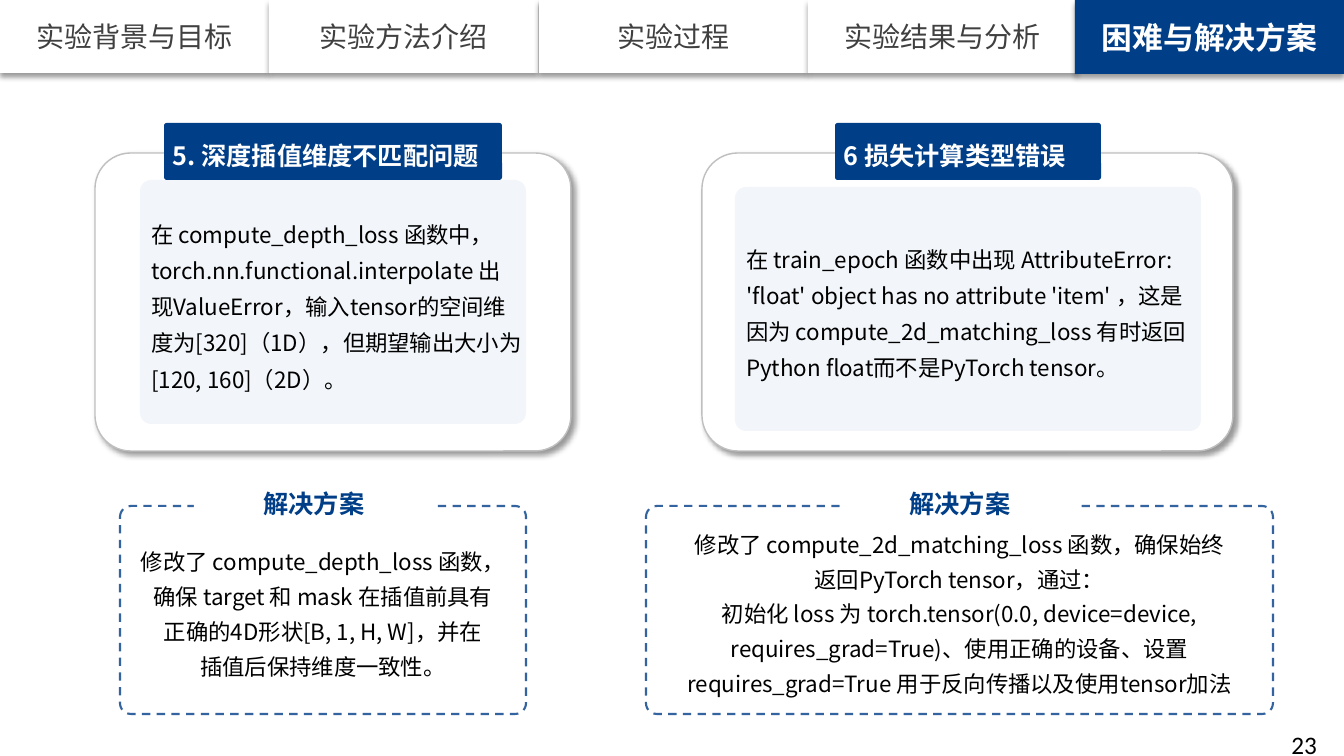
from lxml import etree
from pptx import Presentation
from pptx.dml.color import RGBColor
from pptx.enum.dml import MSO_LINE
from pptx.enum.shapes import MSO_SHAPE
from pptx.enum.text import MSO_ANCHOR, PP_ALIGN
from pptx.oxml.ns import qn
from pptx.util import Pt

RECT, ROUND = MSO_SHAPE.RECTANGLE, MSO_SHAPE.ROUNDED_RECTANGLE
LEFT, CENTER, RIGHT = PP_ALIGN.LEFT, PP_ALIGN.CENTER, PP_ALIGN.RIGHT
TOP, MIDDLE = MSO_ANCHOR.TOP, MSO_ANCHOR.MIDDLE
DASH = MSO_LINE.DASH

EMU_PER_PX = 914400 / 100.8
COLORS = {"navy": "003E87", "white": "FFFFFF", "panel": "F2F5F9",
          "border": "BFBFBF", "grey": "404040", "black": "000000"}
CJK = "Noto Sans CJK SC"
DEFAULT_INSETS = (10, 5, 10, 5)
TAB_INSETS = (4, 5, 4, 5)
LEFT_INSETS = (8, 0, 0, 0)

TABS = ["实验背景与目标", "实验方法介绍", "实验过程", "实验结果与分析"]
ACTIVE_TAB = "困难与解决方案"
PROBLEMS = [
    {"card": (95, 153, 476, 298), "panel": (140, 180, 386, 244),
     "heading": (164, 123, 338, 57), "fix": (120, 506, 406, 208),
     "label": (194, 483, 240, 40),
     "title": "5. 深度插值维度不匹配问题",
     "problem": "在 compute_depth_loss 函数中， torch.nn.functional.interpolate "
                "出现ValueError，输入tensor的空间维度为[320]（1D），"
                "但期望输出大小为[120, 160]（2D）。",
     "solution": ["修改了 compute_depth_loss 函数，确保 target 和 mask 在插值前具有",
                  "正确的4D形状[B, 1, H, W]，并在",
                  "插值后保持维度一致性。"]},
    {"card": (702, 153, 531, 298), "panel": (735, 187, 466, 244),
     "heading": (835, 123, 266, 57), "fix": (646, 506, 627, 208),
     "label": (840, 483, 240, 40),
     "title": "6 损失计算类型错误",
     "problem": "在 train_epoch 函数中出现 AttributeError: 'float' object has no "
                "attribute 'item' ，这是因为 compute_2d_matching_loss "
                "有时返回Python float而不是PyTorch tensor。",
     "solution": ["修改了 compute_2d_matching_loss 函数，确保始终",
                  "返回PyTorch tensor，通过：",
                  "初始化 loss 为 torch.tensor(0.0, device=device, "
                  "requires_grad=True)、使用正确的设备、设置 "
                  "requires_grad=True 用于反向传播以及使用tensor加法"]},
]


def px(n):
    return round(n * EMU_PER_PX)


def rgb(name):
    return RGBColor.from_string(COLORS[name])


def set_alpha(fill, percent):
    color = fill._xPr.find(qn("a:solidFill"))[0]
    etree.SubElement(color, qn("a:alpha"), val=str(percent * 1000))


class Deck:
    def __init__(self):
        self.prs = Presentation()
        self.prs.slide_width, self.prs.slide_height = px(1344), px(756)
        self.s = self.prs.slides.add_slide(self.prs.slide_layouts[6])

    def shape(self, kind, box, fill, alpha=None, radius=None):
        sp = self.s.shapes.add_shape(kind, *map(px, box))
        sp.shadow.inherit = False
        sp.fill.solid()
        sp.fill.fore_color.rgb = rgb(fill)
        sp.line.fill.background()
        if alpha is not None:
            set_alpha(sp.fill, alpha)
        if radius is not None:
            sp.adjustments[0] = radius
        return sp

    def outline(self, sp, color, width, dash=None, alpha=None):
        sp.line.color.rgb = rgb(color)
        sp.line.width = Pt(width)
        if dash is not None:
            sp.line.dash_style = dash
        if alpha is not None:
            set_alpha(sp.line.fill, alpha)

    def cast_shadow(self, sp, degrees):
        effects = sp._element.spPr.find(qn("a:effectLst"))
        shadow = etree.SubElement(
            effects, qn("a:outerShdw"), blurRad=str(Pt(4)), dist=str(Pt(3)),
            dir=str(degrees * 60000), algn="ctr", rotWithShape="0")
        color = etree.SubElement(shadow, qn("a:srgbClr"), val=COLORS["black"])
        etree.SubElement(color, qn("a:alpha"), val="40000")

    def text(self, sp, lines, size, color="black", bold=False, align=CENTER,
             anchor=MIDDLE, insets=DEFAULT_INSETS, spacing=None, font=CJK):
        tf = sp.text_frame
        tf.word_wrap = True
        tf.vertical_anchor = anchor
        (tf.margin_left, tf.margin_top,
         tf.margin_right, tf.margin_bottom) = map(px, insets)
        for i, line in enumerate(lines):
            p = tf.add_paragraph() if i else tf.paragraphs[0]
            p.alignment = align
            p.line_spacing = spacing
            r = p.add_run()
            r.text = line
            r.font.size, r.font.bold, r.font.name = Pt(size), bold, font
            r.font.color.rgb = rgb(color)
            etree.SubElement(r.font._element, qn("a:ea"), typeface=font)

    def tab(self, box, title, fill="white", **style):
        sp = self.shape(RECT, box, fill)
        self.cast_shadow(sp, 90)
        self.text(sp, [title], **style)

    def problem(self, item):
        """Draw the problem card with its heading, and the solution below it."""
        card = self.shape(ROUND, item["card"], "white", radius=0.12)
        self.outline(card, "border", 1)
        self.cast_shadow(card, 45)

        panel = self.shape(ROUND, item["panel"], "panel", radius=0.046)
        self.text(panel, [item["problem"]], 16, align=LEFT,
                  insets=LEFT_INSETS, spacing=1.35)

        heading = self.shape(ROUND, item["heading"], "navy", radius=0.046)
        self.text(heading, [item["title"]], 18, "white", bold=True, align=LEFT,
                  insets=LEFT_INSETS, spacing=1.25)

        fix = self.shape(ROUND, item["fix"], "white", alpha=30, radius=0.052)
        self.outline(fix, "navy", 1.5, DASH, alpha=80)
        self.text(fix, item["solution"], 16, spacing=1.3)

        label = self.shape(RECT, item["label"], "white")
        self.text(label, ["解决方案"], 18, "navy", bold=True, anchor=TOP)

    def page_number(self, box, number):
        sp = self.s.shapes.add_textbox(*map(px, box))
        self.text(sp, [number], 18, align=RIGHT, anchor=TOP, font="Calibri")


def main():
    deck = Deck()
    for i, title in enumerate(TABS):
        deck.tab((i * 1078 // 4, 0, 269, 73), title,
                 size=20, color="grey", insets=TAB_INSETS)
    deck.tab((1075, 0, 269, 74), ACTIVE_TAB, "navy",
             size=22, color="white", bold=True)
    for item in PROBLEMS:
        deck.problem(item)
    deck.page_number((1025, 724, 302, 32), "23")
    deck.prs.save("out.pptx")


if __name__ == "__main__":
    main()
